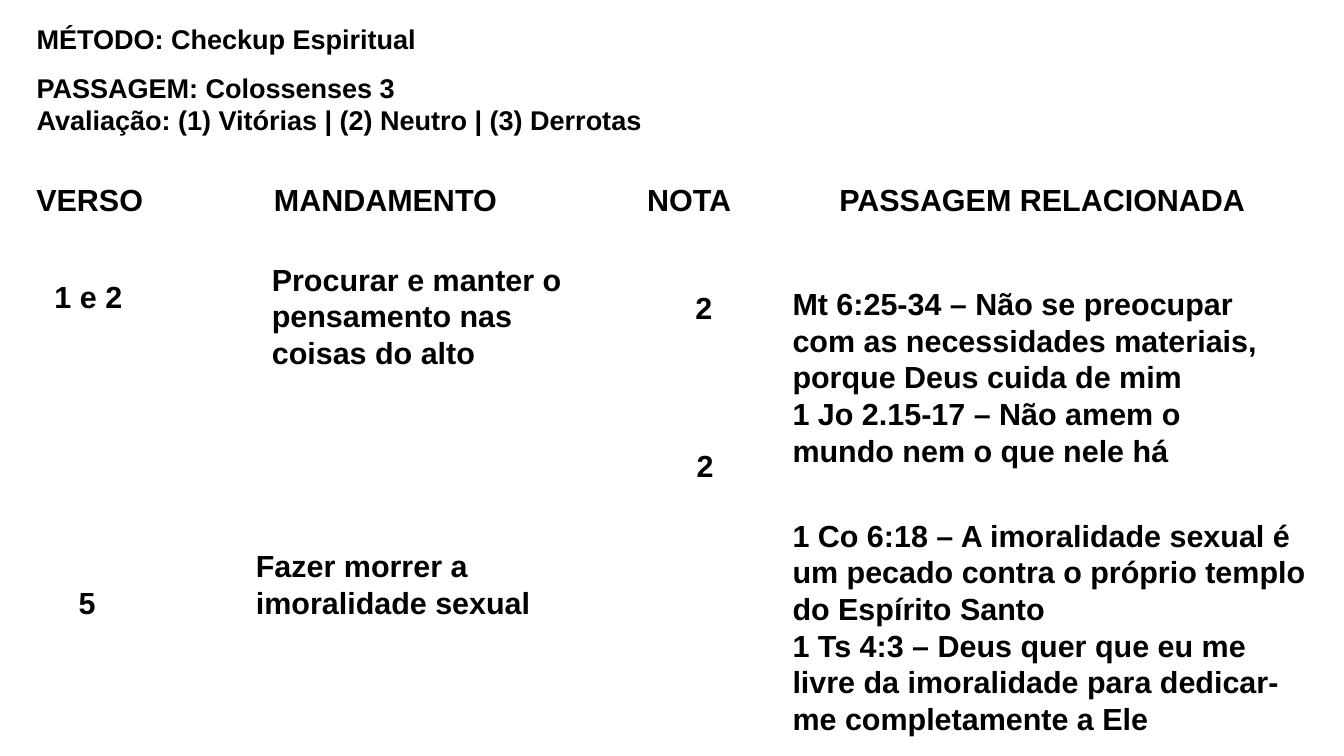
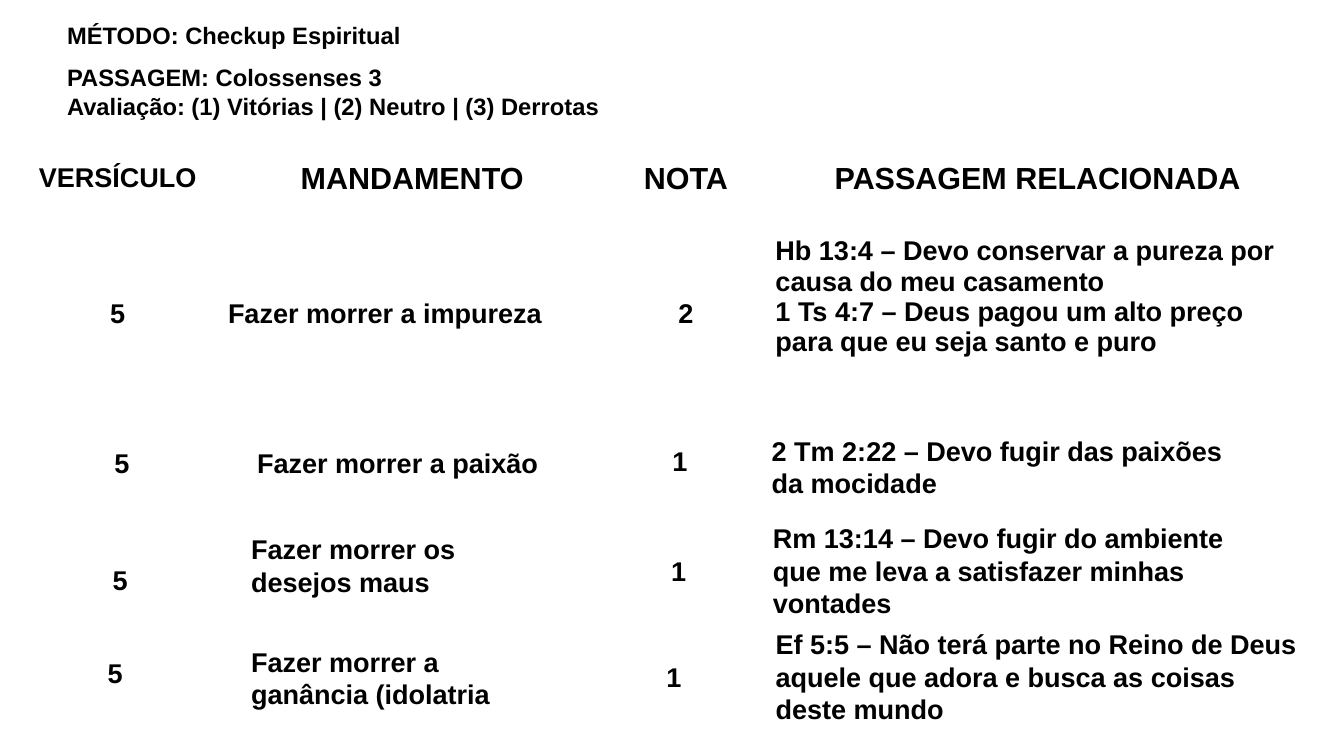
from pptx import Presentation
from pptx.dml.color import RGBColor
from pptx.enum.text import MSO_ANCHOR as Anchor, MSO_AUTO_SIZE as AutoSize, PP_ALIGN as Align
from pptx.util import Inches, Pt

BLACK = RGBColor(0x00, 0x00, 0x00)
WHITE = RGBColor(0xFF, 0xFF, 0xFF)
FONT = {"name": "Arial", "bold": True}
FRAME = {"word_wrap": True, "auto_size": AutoSize.SHAPE_TO_FIT_TEXT, "vertical_anchor": Anchor.TOP}
PLAIN_TABLE = {"first_row": False, "horz_banding": False}
HEADING = [
    "MÉTODO: Checkup Espiritual",
    "PASSAGEM: Colossenses 3",
    "Avaliação: (1) Vitórias | (2) Neutro | (3) Derrotas",
]
HEADING_FORMATS = [{"alignment": Align.JUSTIFY, "line_spacing": 1.5}] * 2 + [{"alignment": Align.LEFT}]
LEFT = {"alignment": Align.LEFT}
CENTER = {"alignment": Align.CENTER}
LABEL_WIDTH = 10.44
COMMAND_WIDTH = 24.77
PASSAGE_WIDTH = 38.2


def apply(target, formats):
    for attribute, value in formats.items():
        setattr(target, attribute, value)


class CheckupDeck:
    def __init__(self, width, height):
        self.deck = Presentation()
        self.deck.slide_width = Inches(width)
        self.deck.slide_height = Inches(height)
        self.slide = None
        self.size = None

    def across(self, percent):
        return round(self.deck.slide_width * percent / 100)

    def down(self, percent):
        return round(self.deck.slide_height * percent / 100)

    def new_slide(self, size):
        self.slide = self.deck.slides.add_slide(self.deck.slide_layouts[5])
        self.slide.background.fill.solid()
        self.slide.background.fill.fore_color.rgb = WHITE
        self.size = size

    def fill_lines(self, frame, lines, formats, size):
        for index, (line, paragraph_format) in enumerate(zip(lines, formats)):
            paragraph = frame.paragraphs[0] if index == 0 else frame.add_paragraph()
            apply(paragraph, paragraph_format)
            run = paragraph.add_run()
            run.text = line
            apply(run.font, {**FONT, "size": Pt(size)})
            run.font.color.rgb = BLACK

    def heading(self, x, width, height, size):
        title = self.slide.shapes.title
        apply(title, {"left": self.across(x), "top": 0,
                      "width": self.across(width), "height": self.down(height)})
        apply(title.text_frame, FRAME)
        self.fill_lines(title.text_frame, HEADING, HEADING_FORMATS, size)

    def text(self, x, y, width, rows, lines, alignment):
        height = Pt(rows * self.size * 1.2) + Inches(0.1)
        box = self.slide.shapes.add_textbox(self.across(x), self.down(y), self.across(width), height)
        apply(box.text_frame, FRAME)
        self.fill_lines(box.text_frame, lines, [alignment] * len(lines), self.size)

    def label(self, x, y, mark):
        self.text(x, y, LABEL_WIDTH, 1, [mark], CENTER)

    def command(self, x, y, rows, sentence):
        self.text(x, y, COMMAND_WIDTH, rows, [sentence], LEFT)

    def passage(self, x, y, rows, *lines, width=PASSAGE_WIDTH):
        self.text(x, y, width, rows, lines, LEFT)

    def table(self, x, y, widths, heights, headers):
        table = self.slide.shapes.add_table(
            len(heights), len(widths), self.across(x), self.down(y),
            self.across(sum(widths)), self.down(sum(heights))).table
        apply(table, PLAIN_TABLE)
        for column, width in zip(table.columns, widths):
            column.width = self.across(width)
        for row, height in zip(table.rows, heights):
            row.height = self.down(height)
        for cell in table.iter_cells():
            cell.fill.background()
        for column, (header, size) in enumerate(headers):
            self.cell(table, 0, column, [header], CENTER, size)
        return table

    def cell(self, table, row, column, lines, alignment, size, anchor=Anchor.MIDDLE):
        cell = table.cell(row, column)
        cell.vertical_anchor = anchor
        self.fill_lines(cell.text_frame, lines, [alignment] * len(lines), size)


def first_slide(deck):
    deck.new_slide(18)
    deck.heading(1.81, 72.69, 19.03, 16)
    deck.table(1.45, 20.65, [10.44, 33.58, 11.62, 40.93], [11.94, 19.52, 23.23],
               [("VERSO", 18), ("MANDAMENTO", 18), ("NOTA", 18), ("PASSAGEM RELACIONADA", 18)])
    for x, y, mark in [(1.36, 35.97, "1 e 2"), (47.15, 37.42, "2"),
                       (1.27, 76.45, "5"), (47.25, 58.39, "2")]:
        deck.label(x, y, mark)
    deck.command(19.33, 33.71, 3, "Procurar e manter o pensamento nas coisas do alto")
    deck.command(18.15, 71.61, 2, "Fazer morrer a imoralidade sexual")
    deck.passage(58.08, 36.94, 5,
                 "Mt 6:25-34 – Não se preocupar com as necessidades materiais, porque Deus cuida de mim",
                 "1 Jo 2.15-17 – Não amem o", "mundo nem o que nele há")
    deck.passage(58.08, 67.58, 6,
                 "1 Co 6:18 – A imoralidade sexual é um pecado contra o próprio templo do Espírito Santo",
                 "1 Ts 4:3 – Deus quer que eu me livre da imoralidade para dedicar-me completamente a Ele",
                 width=40.02)


def second_slide(deck):
    deck.new_slide(16)
    deck.heading(4.08, 63.88, 16.77, 14)
    table = deck.table(1.45, 16.77, [14.61, 29.22, 11.52, 40.83], [13.71, 22.26, 15.16, 13.71, 13.71],
                       [("VERSÍCULO", 16), ("MANDAMENTO", 18), ("NOTA", 18), ("PASSAGEM RELACIONADA", 18)])
    deck.cell(table, 1, 0, ["5"], CENTER, 16)
    deck.cell(table, 1, 1, ["Fazer morrer a impureza"], LEFT, 16)
    deck.cell(table, 1, 2, ["2"], CENTER, 16)
    deck.cell(table, 1, 3, ["Hb 13:4 – Devo conservar a pureza por causa do meu casamento",
                            "1 Ts 4:7 – Deus pagou um alto preço para que eu seja santo e puro"],
              LEFT, 16, Anchor.TOP)
    for x, y, mark in [(3.86, 58.23, "5"), (3.72, 73.71, "5"), (3.36, 85.97, "5"),
                       (45.37, 58.06, "1"), (45.28, 72.58, "1"), (44.92, 86.61, "1")]:
        deck.label(x, y, mark)
    for x, y, rows, sentence in [(18.24, 58.23, 1, "Fazer morrer a paixão"),
                                 (17.79, 69.68, 2, "Fazer morrer os desejos maus"),
                                 (17.79, 84.52, 2, "Fazer morrer a ganância (idolatria")]:
        deck.command(x, y, rows, sentence)
    deck.passage(56.53, 56.61, 2, "2 Tm 2:22 – Devo fugir das paixões da mocidade")
    deck.passage(56.62, 68.23, 3,
                 "Rm 13:14 – Devo fugir do ambiente que me leva a satisfazer minhas vontades")
    deck.passage(56.81, 82.26, 3,
                 "Ef 5:5 – Não terá parte no Reino de Deus aquele que adora e busca as coisas deste mundo",
                 width=40.83)


def main():
    checkup = CheckupDeck(11.02, 6.2)
    first_slide(checkup)
    second_slide(checkup)
    checkup.deck.save("out.pptx")


if __name__ == "__main__":
    main()
